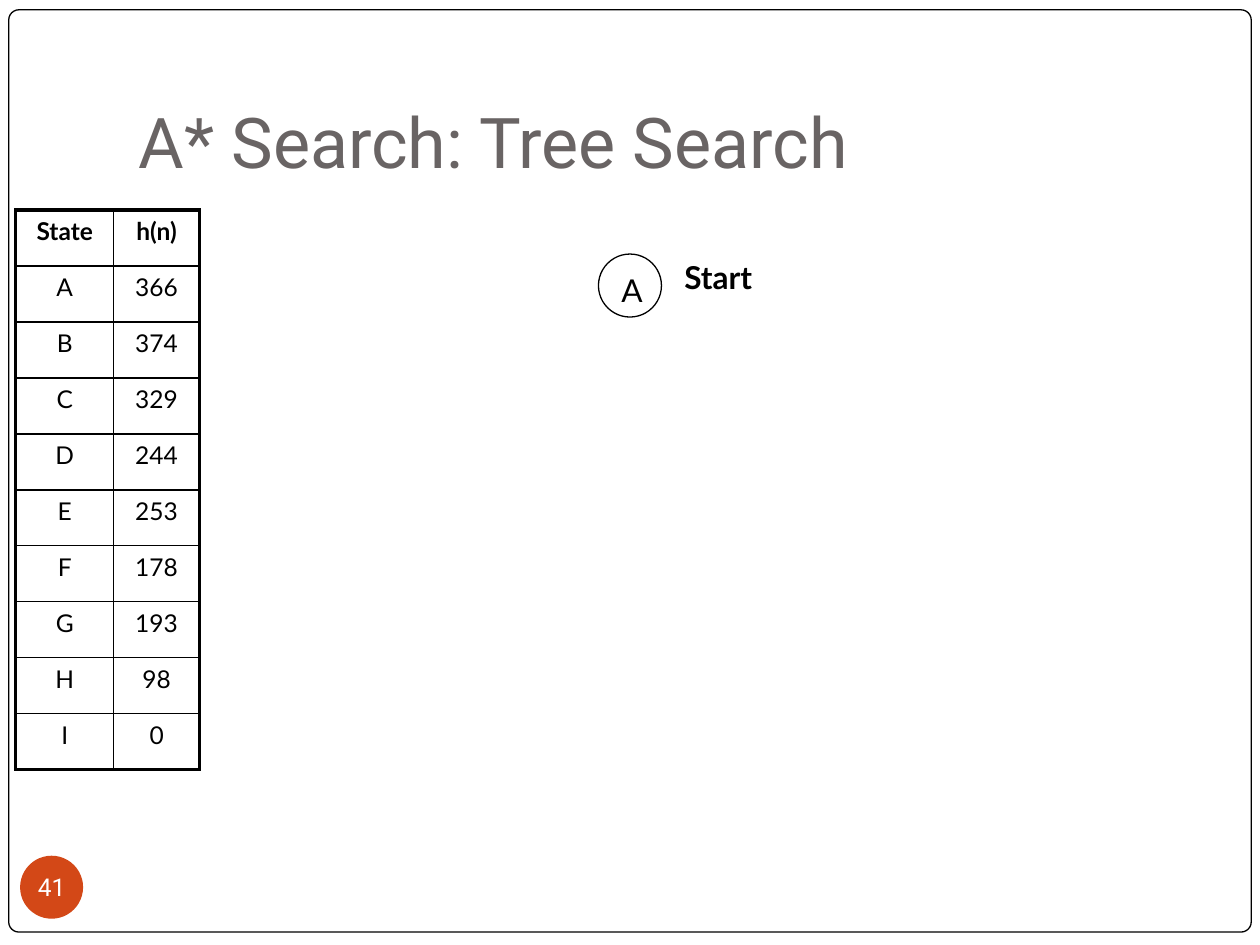
"""Build the A* tree search slide with its heuristic table and start node."""
from lxml import etree
from pptx import Presentation
from pptx.dml.color import RGBColor
from pptx.enum import shapes, text
from pptx.oxml import ns
from pptx.util import Pt

COLORS = {"ink": "000000", "paper": "FFFFFF", "title": "696464", "accent": "D34817"}
HEURISTIC = [
    ("State", "h(n)"), ("A", "366"), ("B", "374"), ("C", "329"), ("D", "244"),
    ("E", "253"), ("F", "178"), ("G", "193"), ("H", "98"), ("I", "0"),
]


def write(frame, words, align, size, font, color, bold=False, margins=(7.2, 3.6, 7.2, 3.6)):
    """Put one formatted paragraph into a text frame."""
    sides = ("margin_left", "margin_top", "margin_right", "margin_bottom")
    for side, margin in zip(sides, margins):
        setattr(frame, side, Pt(margin))
    frame.word_wrap = True
    para = frame.paragraphs[0]
    para.alignment = align
    span = para.add_run()
    span.text = words
    for name, value in {"size": Pt(size), "name": font, "bold": bold}.items():
        setattr(span.font, name, value)
    span.font.color.rgb = RGBColor.from_string(COLORS[color])


def draw(parent, kind, place, fill=None, line=None):
    """Add a preset shape with plain fill and outline."""
    shape = parent.add_shape(kind, *map(Pt, place))
    shape.shadow.inherit = False
    for target, color in ((shape.fill, fill), (shape.line.fill, line)):
        if color:
            target.solid()
            target.fore_color.rgb = RGBColor.from_string(COLORS[color])
        else:
            target.background()
    if line:
        shape.line.width = Pt(0.75)
    return shape


deck = Presentation()
deck.slide_width, deck.slide_height = Pt(720), Pt(540)
page = deck.slides.add_slide(deck.slide_layouts[5])
kinds = shapes.MSO_SHAPE
left, center = text.PP_ALIGN.LEFT, text.PP_ALIGN.CENTER

title = page.shapes.title
for name, value in {"left": 72, "top": 21.6, "width": 612, "height": 90}.items():
    setattr(title, name, Pt(value))
title.text_frame.auto_size = text.MSO_AUTO_SIZE.NONE
title.text_frame.vertical_anchor = text.MSO_ANCHOR.BOTTOM
write(title.text_frame, "A* Search: Tree Search", left, 40, "Roboto", "title",
      margins=(7.2, 3.6, 7.2, 7.2))

border = draw(page.shapes, kinds.ROUNDED_RECTANGLE, (5, 5.6, 710, 527), "paper", "ink")
border.adjustments[0] = 0.011
title.element.addprevious(border.element)

badge = draw(page.shapes, kinds.OVAL, (11.5, 489, 36, 36), "accent")
badge.text_frame.vertical_anchor = text.MSO_ANCHOR.MIDDLE
write(badge.text_frame, "41", center, 14, "Roboto", "paper", margins=(0, 0, 0, 0))

node = page.shapes.add_group_shape()
draw(node.shapes, kinds.OVAL, (342, 145.2, 36, 36), line="ink")
labels = [
    (node.shapes, "A", (348, 151.2, 24, 29), False),
    (page.shapes, "Start", (384, 144, 96, 29), True),
]
for parent, words, place, bold in labels:
    box = parent.add_textbox(*map(Pt, place))
    box.text_frame.auto_size = text.MSO_AUTO_SIZE.SHAPE_TO_FIT_TEXT
    write(box.text_frame, words, left, 18, "Lato", "ink", bold)

widths, row_height = (56, 49), 32
last_row, last_col = len(HEURISTIC) - 1, len(widths) - 1
table = page.shapes.add_table(len(HEURISTIC), len(widths), Pt(9), Pt(120),
                              Pt(sum(widths)), Pt(row_height * len(HEURISTIC))).table
for column, width in zip(table.columns, widths):
    column.width = Pt(width)
for r, values in enumerate(HEURISTIC):
    table.rows[r].height = Pt(row_height)
    for c, value in enumerate(values):
        cell = table.cell(r, c)
        cell.fill.background()
        write(cell.text_frame, value, center, 14, "Lato", "ink", bold=r == 0)
        outer = {"lnL": c == 0, "lnR": c == last_col, "lnT": r == 0, "lnB": r == last_row}
        properties = cell.text_frame._txBody.getparent().find(ns.qn("a:tcPr"))
        for position, (side, thick) in enumerate(outer.items()):
            edge = etree.Element(ns.qn(f"a:{side}"), w=str(Pt(2.25 if thick else 1)))
            paint = etree.SubElement(edge, ns.qn("a:solidFill"))
            etree.SubElement(paint, ns.qn("a:srgbClr"), val=COLORS["ink"])
            properties.insert(position, edge)

deck.save("out.pptx")
